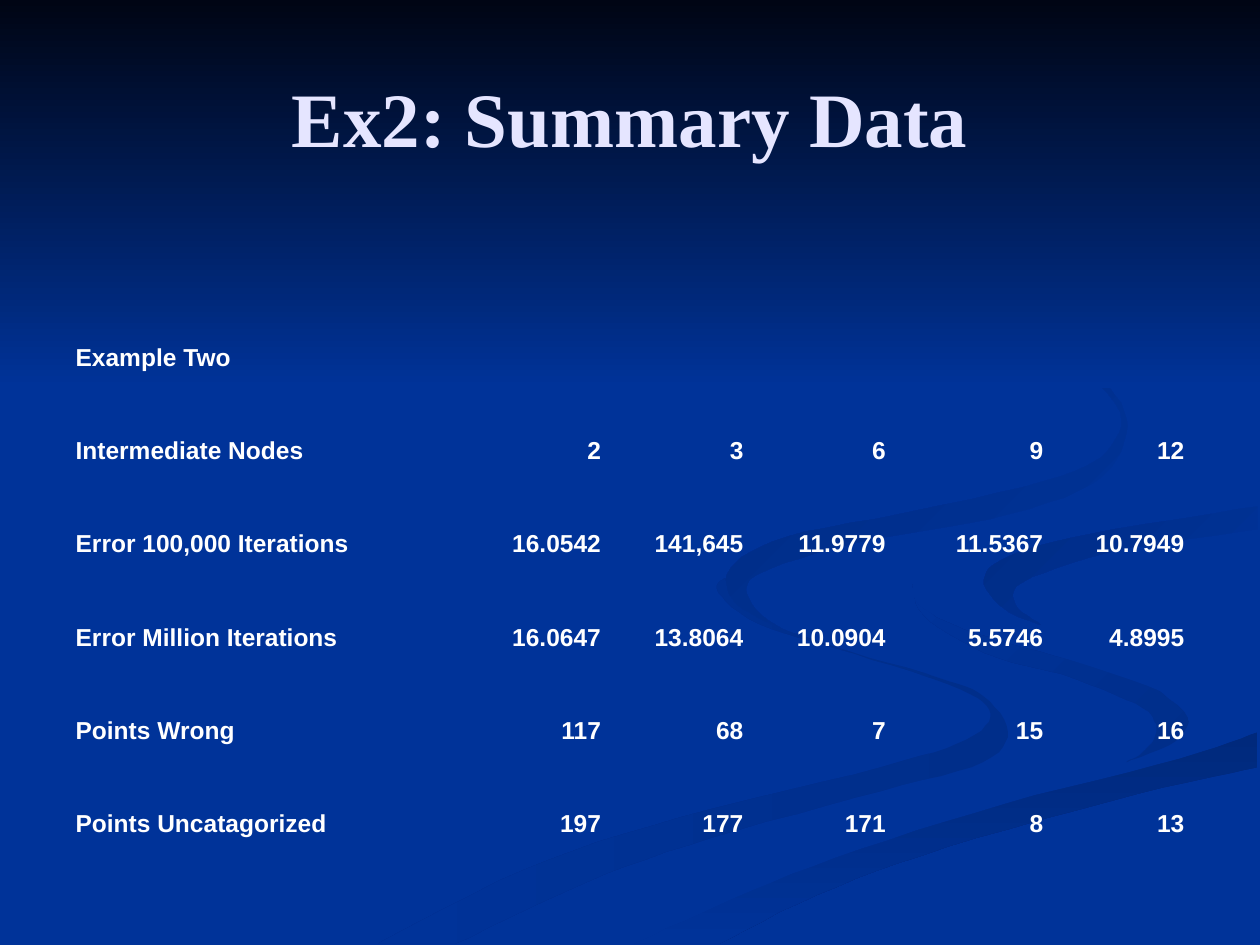
from pptx import Presentation
from pptx.dml.color import RGBColor
from pptx.enum.shapes import MSO_SHAPE as Form
from pptx.enum.text import MSO_ANCHOR as Anchor, MSO_AUTO_SIZE as Fit, PP_ALIGN as Align
from pptx.oxml.ns import qn
from pptx.util import Pt

PX = 9144  # 100 px to the inch
WIDE, HIGH = 1000, 750
STEPS = 6  # short lines between two knots of a curve
NO_GRID = "{2D5ABB26-0587-4C30-8999-92F81FD0307C}"
BLUE, PALE, WHITE, NIGHT = "003399", "E5E5FF", "FFFFFF", "000514"


def emu(*px):
    return [n * PX for n in px]


def rgb(code):
    return RGBColor.from_string(code)


def blend(a, b, c, d, t):
    """Catmull-Rom value between b and c."""
    return (2 * b + (c - a) * t + (2 * a - 5 * b + 4 * c - d) * t ** 2
            + (3 * b - a - 3 * c + d) * t ** 3) / 2


def curve(knots):
    """Smooth line through the knots, end knots included."""
    ends = [knots[0], *knots, knots[-1]]
    line = []
    for quad in zip(ends, ends[1:], ends[2:], ends[3:]):
        for step in range(STEPS):
            line.append(tuple(round(blend(*axis, step / STEPS)) for axis in zip(*quad)))
    return line + [knots[-1]]


class Deck:
    serif, sans = "Times New Roman", "Arial"

    def __init__(self):
        self.prs = Presentation()
        self.prs.slide_width, self.prs.slide_height = emu(WIDE, HIGH)
        self.slide = self.prs.slides.add_slide(self.prs.slide_layouts[5])
        fill = self.slide.background.fill
        fill.solid()
        fill.fore_color.rgb = rgb(BLUE)

    def style(self, par, face, size, color, align):
        par.alignment = align
        for run in par.runs:
            font = run.font
            font.name, font.size, font.bold = face, Pt(size), True
            font.color.rgb = rgb(color)

    def paint(self, shape, first, last, angle):
        """Gradient without outline; angle turns clockwise from left-to-right."""
        shape.shadow.inherit = False
        shape.line.fill.background()
        shape.fill.gradient()
        shape.fill.gradient_angle = 360 - angle
        for stop, color in zip(shape.fill.gradient_stops, (first, last)):
            stop.color.rgb = rgb(color)

    def ribbon(self, edges, first, last, angle):
        """Run down the first edge, then back up the others."""
        down, *back = edges
        line = curve(down)
        for edge in back:
            line += curve(edge[::-1])
        pen = self.slide.shapes.build_freeform(*line[0], scale=PX)
        pen.add_line_segments(line[1:], close=True)
        self.paint(pen.convert_to_shape(), first, last, angle)

    def sky(self, depth):
        band = self.slide.shapes.add_shape(Form.RECTANGLE, *emu(0, 0, WIDE, depth))
        self.paint(band, NIGHT, BLUE, 90)

    def title(self, text, *box):
        head = self.slide.shapes.title
        head.left, head.top, head.width, head.height = emu(*box)
        frame = head.text_frame
        frame.text = text
        frame.auto_size = Fit.NONE
        frame.vertical_anchor = Anchor.MIDDLE
        self.style(frame.paragraphs[0], self.serif, 44, PALE, Align.CENTER)
        # Lift the title above the backdrop
        self.slide.shapes.element.append(head.element)

    def table(self, data, left, top, cols, rows):
        frame = self.slide.shapes.add_table(
            len(rows), len(cols), *emu(left, top, sum(cols), sum(rows)))
        grid = frame.table
        grid.first_row = grid.horz_banding = False
        for tag in frame.element.iter(qn("a:tableStyleId")):
            tag.text = NO_GRID
        for col, width in zip(grid.columns, emu(*cols)):
            col.width = width
        for row, height in zip(grid.rows, emu(*rows)):
            row.height = height
        for row, texts in zip(grid.rows, data):
            blanks = [""] * (len(cols) - len(texts))
            for c, (cell, text) in enumerate(zip(row.cells, texts + blanks)):
                self.cell(cell, text, Align.RIGHT if c else Align.LEFT)

    def cell(self, cell, text, align):
        cell.fill.background()
        cell.vertical_anchor = Anchor.BOTTOM
        cell.text_frame.text = text
        par = cell.text_frame.paragraphs[0]
        props = par._p.get_or_add_pPr()
        hang, = emu(38)
        props.set("marL", str(hang))
        props.set("indent", str(-hang))
        self.style(par, self.sans, 14, WHITE, align)


# Left ribbon: an upper bend and a lower bend, each between two edges
TOP_OUT = [(762, 233), (821, 261), (880, 307), (894, 344), (867, 384),
           (786, 412), (683, 430), (601, 456), (597, 480), (622, 500)]
TOP_IN = [(762, 233), (826, 266), (885, 320), (882, 354), (842, 378),
          (733, 404), (625, 426), (580, 451), (584, 479), (622, 500)]
LOW_OUT = [(575, 459), (602, 490), (661, 513), (745, 538), (781, 553), (800, 581),
           (780, 605), (699, 628), (564, 665), (466, 700), (361, 749)]
LOW_IN = [(575, 459), (570, 470), (602, 495), (679, 519), (762, 547), (786, 566),
          (767, 587), (699, 609), (539, 649), (417, 690), (300, 749)]

# Right ribbon: a plain body with a rim, a curl and a tail shaded along it
BODY_OUT = [(999, 387), (851, 408), (755, 432), (725, 464), (745, 490), (850, 524),
            (931, 553), (943, 575), (911, 600), (780, 634), (619, 684), (477, 749)]
BODY_IN = [(999, 402), (865, 424), (800, 442), (781, 463), (804, 485), (866, 509),
           (999, 538)]
RIM_OUT = [(998, 402), (865, 424), (800, 442), (781, 460), (797, 483), (826, 496)]
RIM_IN = [(998, 420), (878, 439), (812, 462), (806, 480), (826, 496)]
CURL_OUT = [(724, 464), (733, 483), (775, 503), (850, 524), (905, 540), (943, 570),
            (932, 589), (894, 605)]
CURL_IN = [(724, 464), (733, 488), (781, 518), (854, 539), (907, 562), (918, 581),
           (907, 597), (894, 605)]
TAIL_TOP = [(998, 581), (936, 602), (797, 638), (662, 681), (569, 719), (503, 749)]
TAIL_LOW = [(998, 609), (903, 630), (752, 672), (649, 710), (571, 749)]

# Edges, first and last colour, angle; back to front
RIBBONS = [
    ((LOW_OUT, LOW_IN), "002E8A", BLUE, 180),
    ((CURL_OUT, CURL_IN), "002E8A", BLUE, 225),
    ((TAIL_TOP, TAIL_LOW), "00297C", BLUE, 90),
    ((BODY_OUT, TAIL_TOP, BODY_IN), BLUE, BLUE, 0),
    ((RIM_OUT, RIM_IN), BLUE, "002C85", 225),
    ((TOP_OUT, TOP_IN), BLUE, "002B81", 225),
]

DATA = [
    ["Example Two"],
    ["Intermediate Nodes", "2", "3", "6", "9", "12"],
    ["Error 100,000 Iterations", "16.0542", "141,645", "11.9779", "11.5367", "10.7949"],
    ["Error Million Iterations", "16.0647", "13.8064", "10.0904", "5.5746", "4.8995"],
    ["Points Wrong", "117", "68", "7", "15", "16"],
    ["Points Uncatagorized", "197", "177", "171", "8", "13"],
]


def main():
    deck = Deck()
    # Backdrop
    for ribbon in RIBBONS:
        deck.ribbon(*ribbon)
    deck.sky(308)
    # Content
    deck.title("Ex2: Summary Data", 50, 30, 900, 125)
    deck.table(DATA, 50, 175, [317, 120, 113, 113, 125, 112], [125] + [74] * 5)
    deck.prs.save("out.pptx")


if __name__ == "__main__":
    main()
